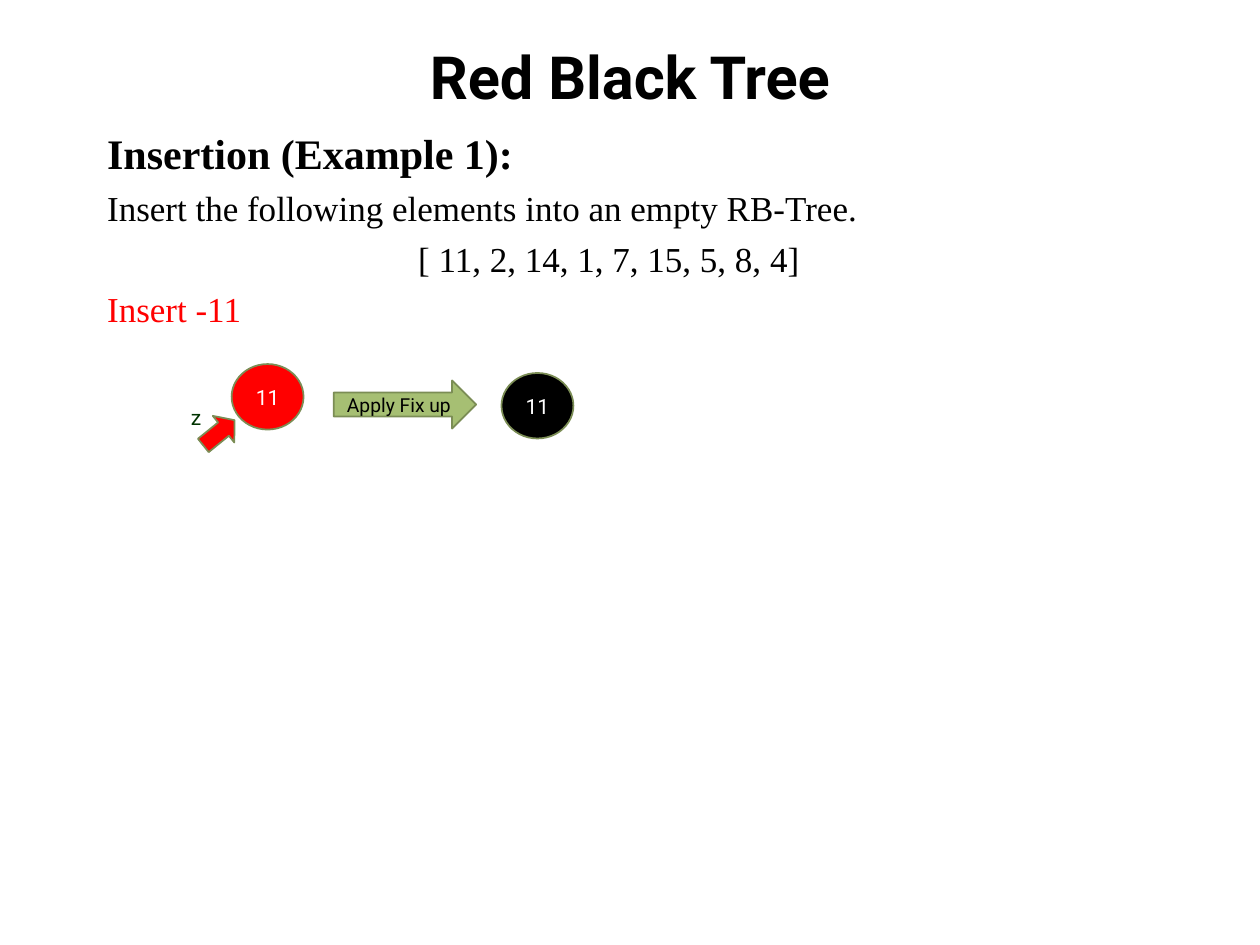
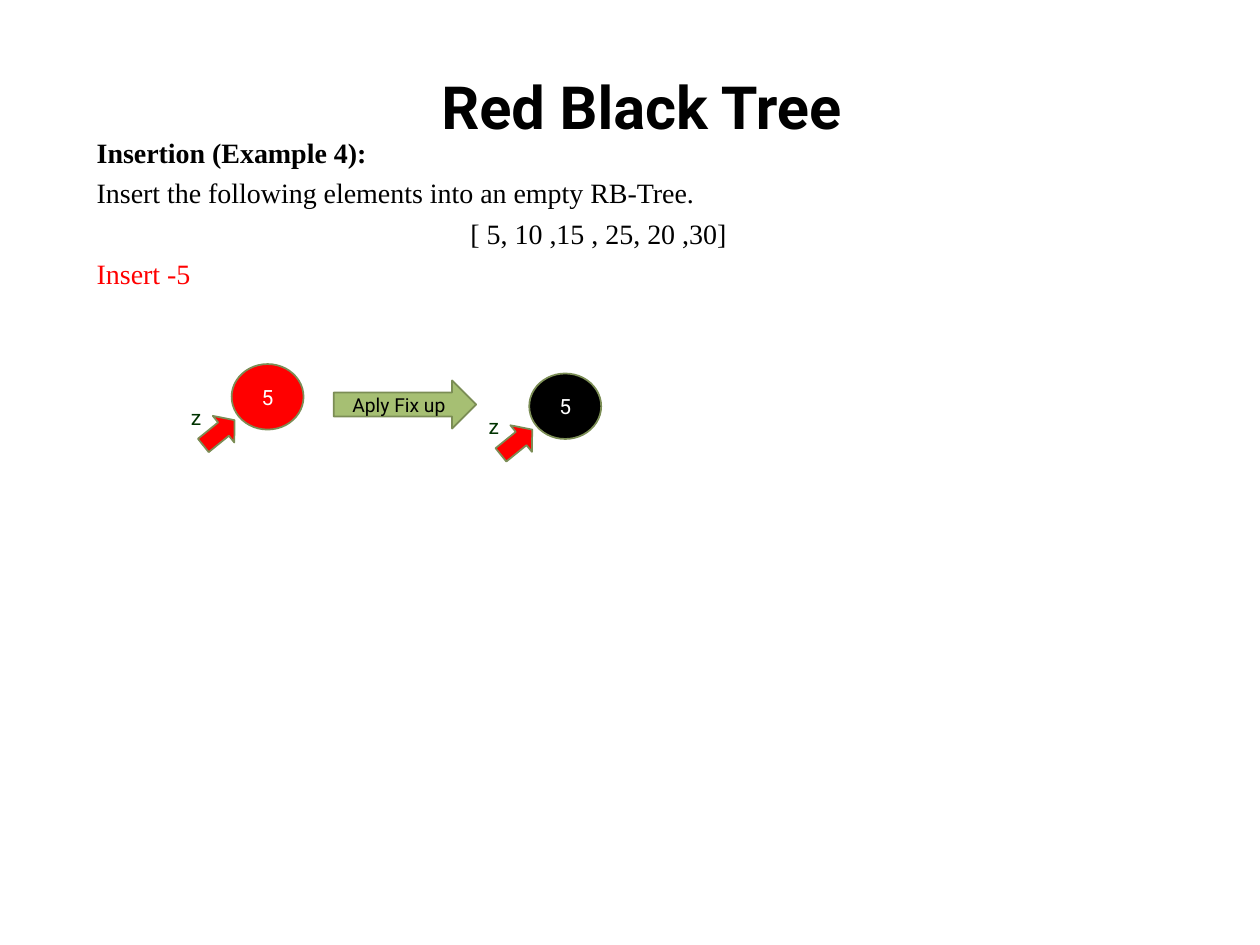
from dataclasses import dataclass

import pptx
import pptx.dml.color
import pptx.enum.shapes
import pptx.enum.text
import pptx.util

Cm = pptx.util.Cm
Pt = pptx.util.Pt
RGB = pptx.dml.color.RGBColor.from_string
ALIGN = pptx.enum.text.PP_ALIGN
ANCHOR = pptx.enum.text.MSO_ANCHOR
SHAPE = pptx.enum.shapes.MSO_SHAPE


@dataclass(frozen=True)
class Theme:
    sans: str = "Roboto"
    serif: str = "Times New Roman"
    black: str = "000000"
    white: str = "FFFFFF"
    red: str = "FF0000"
    green: str = "A6BF73"
    outline: str = "7B8D55"
    pointer_label: str = "003300"
    title_size: int = 34
    node_size: int = 12
    arrow_size: int = 11


@dataclass(frozen=True)
class Box:
    """A rectangle in centimetres."""
    left: float
    top: float
    width: float
    height: float

    def inside(self, left, top, width, height):
        return Box(self.left + left, self.top + top, width, height)

    def lengths(self):
        return [Cm(side) for side in (self.left, self.top, self.width, self.height)]


@dataclass(frozen=True)
class Example:
    title_box: Box
    text_box: Box
    heading: str
    heading_size: int
    text_size: int
    values: str
    key: str
    fix_label: str
    fixed_node_box: Box
    fixed_node_has_pointer: bool


THEME = Theme()
TITLE = "Red Black Tree"
TASK = "Insert the following elements into an empty RB-Tree."
NEW_NODE_BOX = Box(4.67, 7.34, 1.45, 1.32)
FIX_ARROW_BOX = Box(6.73, 7.67, 2.87, 0.97)

EXAMPLES = [
    Example(Box(1.27, 0.53, 22.86, 2.01), Box(1.91, 2.44, 20.73, 4.55),
            "Insertion (Example 1):", 24, 20, "[ 11, 2, 14, 1, 7, 15, 5, 8, 4]",
            "11", "Apply Fix up", Box(10.11, 7.52, 1.45, 1.32), False),
    Example(Box(1.5, 1.12, 22.86, 2.01), Box(1.7, 2.6, 20.73, 3.4),
            "Insertion (Example 4):", 16, 16, "[ 5, 10 ,15 , 25, 20 ,30]",
            "5", "Aply Fix up", Box(10.67, 7.53, 1.45, 1.32), True),
]


def write(para, text, size, color, face=THEME.sans, bold=False, align=ALIGN.CENTER):
    para.text = text
    para.alignment = align
    font = para.font
    font.name, font.size, font.bold = face, Pt(size), bold
    font.color.rgb = RGB(color)


def add_outlined_shape(shapes, kind, box, fill):
    shape = shapes.add_shape(kind, *box.lengths())
    shape.shadow.inherit = False
    shape.fill.solid()
    shape.fill.fore_color.rgb = RGB(fill)
    shape.line.color.rgb = RGB(THEME.outline)
    shape.line.width = Pt(1)
    return shape


def label_shape(shape, text, size, color):
    frame = shape.text_frame
    frame.margin_left = frame.margin_right = frame.margin_top = frame.margin_bottom = 0
    frame.vertical_anchor = ANCHOR.MIDDLE
    write(frame.paragraphs[0], text, size, color)


def add_title(page, box):
    title = page.shapes.title
    title.left, title.top, title.width, title.height = box.lengths()
    frame = title.text_frame
    frame.auto_size = pptx.enum.text.MSO_AUTO_SIZE.NONE
    frame.vertical_anchor = ANCHOR.MIDDLE
    write(frame.paragraphs[0], TITLE, THEME.title_size, THEME.black, bold=True)


def add_task_text(page, box, example):
    frame = page.shapes.add_textbox(*box.lengths()).text_frame
    frame.word_wrap = True
    heading = frame.paragraphs[0]
    write(heading, example.heading, example.heading_size, THEME.black, THEME.serif,
          bold=True, align=ALIGN.JUSTIFY)
    lines = [(TASK, THEME.black, ALIGN.JUSTIFY),
             (example.values, THEME.black, ALIGN.CENTER),
             (f"Insert -{example.key}", THEME.red, ALIGN.LEFT)]
    for text, color, align in lines:
        para = frame.add_paragraph()
        write(para, text, example.text_size, color, THEME.serif, align=align)
        para.space_before = Pt(example.text_size / 4)


def add_node(shapes, box, key, fill):
    node = add_outlined_shape(shapes, SHAPE.OVAL, box, fill)
    label_shape(node, key, THEME.node_size, THEME.white)


def add_pointed_node(page, box, key, fill):
    """Group a node with the z label and the small arrow at its lower left."""
    shapes = page.shapes.add_group_shape().shapes
    add_node(shapes, box, key, fill)
    label = shapes.add_textbox(*box.inside(-1.07, 0.69, 0.69, 0.76).lengths())
    label.text_frame.word_wrap = False
    write(label.text_frame.paragraphs[0], "z", THEME.node_size,
          THEME.pointer_label, align=ALIGN.LEFT)
    pointer = add_outlined_shape(shapes, SHAPE.RIGHT_ARROW,
                                 box.inside(-0.66, 1.04, 0.81, 0.69), THEME.red)
    pointer.adjustments[1] = 0.415
    pointer.rotation = 321


def add_fix_arrow(page, box, text):
    arrow = add_outlined_shape(page.shapes, SHAPE.RIGHT_ARROW, box, THEME.green)
    label_shape(arrow, text, THEME.arrow_size, THEME.black)


def add_example_page(deck, example):
    page = deck.slides.add_slide(deck.slide_layouts.get_by_name("Title Only"))
    add_title(page, example.title_box)
    add_task_text(page, example.text_box, example)
    add_pointed_node(page, NEW_NODE_BOX, example.key, THEME.red)
    add_fix_arrow(page, FIX_ARROW_BOX, example.fix_label)
    if example.fixed_node_has_pointer:
        add_pointed_node(page, example.fixed_node_box, example.key, THEME.black)
    else:
        add_node(page.shapes, example.fixed_node_box, example.key, THEME.black)


def main():
    deck = pptx.Presentation()
    deck.slide_width, deck.slide_height = Cm(25.4), Cm(19.05)
    for example in EXAMPLES:
        add_example_page(deck, example)
    deck.save("out.pptx")


if __name__ == "__main__":
    main()
